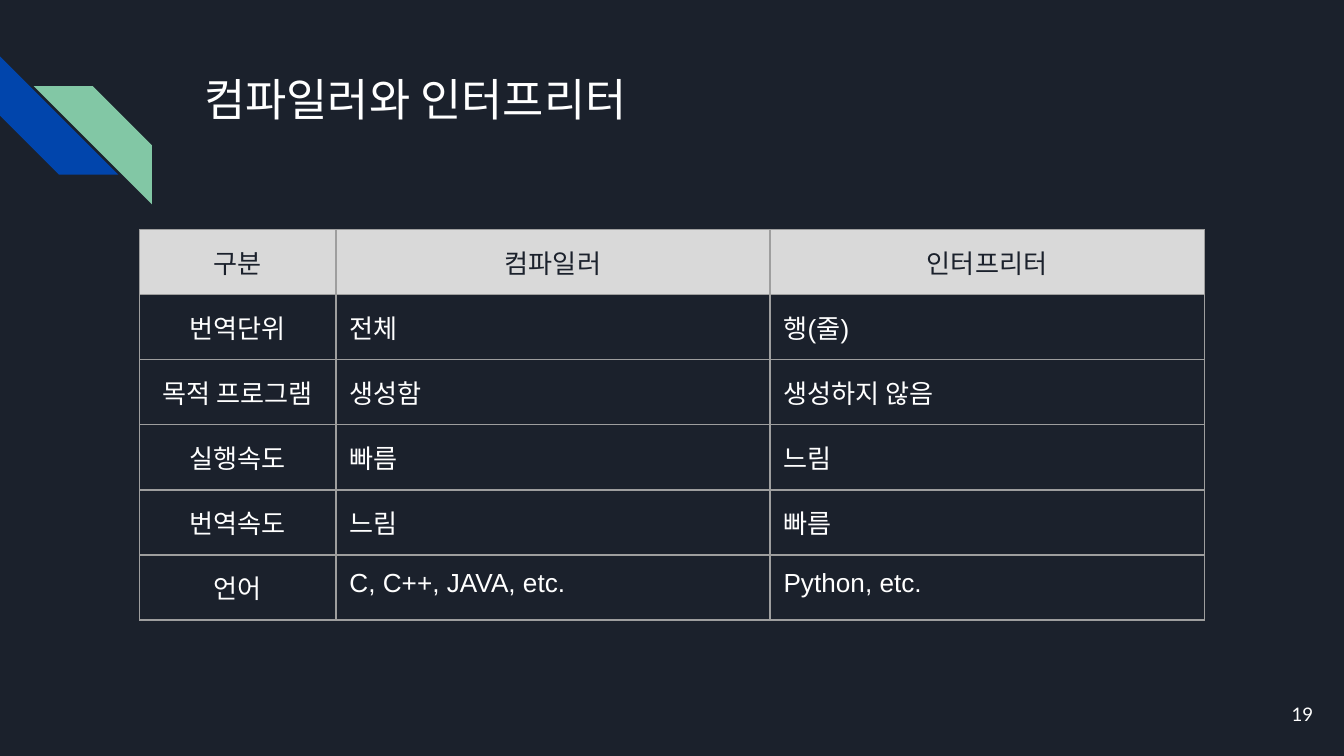
"""Build a slide that compares compilers and interpreters in a table."""
from dataclasses import dataclass

from lxml import etree
from pptx import Presentation
from pptx import util as u
from pptx.dml import color
from pptx.enum import shapes, text
from pptx.oxml import ns


@dataclass(frozen=True)
class Theme:
    """Colours, fonts and type sizes of the slide."""
    background: str = "1B212C"
    blue: str = "0145AC"
    green: str = "82C7A5"
    header: str = "D9D9D9"
    border: str = "9E9E9E"
    light: str = "FFFFFF"
    title_font: str = "Montserrat"
    body_font: str = "Arial"
    number_font: str = "Lato"
    title_size: int = 24
    body_size: int = 14
    number_size: int = 10
    border_width: float = 0.75


THEME = Theme()
INSET = u.Inches(0.1)
SLIDE_WIDTH = u.Inches(10)
ROWS = [
    ("구분", "컴파일러", "인터프리터"),
    ("번역단위", "전체", "행(줄)"),
    ("목적 프로그램", "생성함", "생성하지 않음"),
    ("실행속도", "빠름", "느림"),
    ("번역속도", "느림", "빠름"),
    ("언어", "C, C++, JAVA, etc.", "Python, etc."),
]


def set_values(target, values):
    """Set each named attribute on the target."""
    for name, value in values.items():
        setattr(target, name, value)


def set_box(shape, left, top, width, height):
    """Place a shape, with lengths in inches."""
    names = ("left", "top", "width", "height")
    set_values(shape, dict(zip(names, map(u.Inches, (left, top, width, height)))))


def paint(fill, rgb):
    """Give a fill one solid colour."""
    fill.solid()
    fill.fore_color.rgb = color.RGBColor.from_string(rgb)


def set_insets(target):
    """Give a text frame or cell equal margins."""
    sides = ("left", "right", "top", "bottom")
    set_values(target, {f"margin_{side}": INSET for side in sides})


def write(frame, words, font, size, rgb, align):
    """Write one formatted paragraph into a text frame."""
    paragraph = frame.paragraphs[0]
    paragraph.alignment = align
    run = paragraph.add_run()
    run.text = words
    set_values(run.font, {"name": font, "size": u.Pt(size), "bold": False})
    run.font.color.rgb = color.RGBColor.from_string(rgb)


def format_frame(frame, anchor):
    """Set the layout of a free text frame."""
    set_insets(frame)
    set_values(frame, {"word_wrap": True, "vertical_anchor": anchor,
                       "auto_size": text.MSO_AUTO_SIZE.NONE})


def add_stripe(slide, left, top, rotation, rgb):
    """Add one diagonal stripe."""
    side = u.Inches(0.88)
    stripe = slide.shapes.add_shape(shapes.MSO_SHAPE.DIAGONAL_STRIPE,
                                    u.Inches(left), u.Inches(top), side, side)
    stripe.rotation = rotation
    stripe.shadow.inherit = False
    paint(stripe.fill, rgb)
    stripe.line.fill.background()


def add_title(slide, words):
    """Fill and place the title placeholder."""
    title = slide.shapes.title
    set_box(title, 1.42, 0.43, 7.7, 1)
    format_frame(title.text_frame, text.MSO_ANCHOR.TOP)
    write(title.text_frame, words, THEME.title_font, THEME.title_size,
          THEME.light, text.PP_ALIGN.LEFT)


def add_number(slide, words):
    """Add the page number."""
    box = slide.shapes.add_textbox(*map(u.Inches, (9.27, 5.1, 0.6, 0.43)))
    format_frame(box.text_frame, text.MSO_ANCHOR.MIDDLE)
    write(box.text_frame, words, THEME.number_font, THEME.number_size,
          THEME.light, text.PP_ALIGN.RIGHT)


def add_borders(cell):
    """Draw the four borders of a cell."""
    properties = cell._tc.get_or_add_tcPr()
    for index, side in enumerate(("lnL", "lnR", "lnT", "lnB")):
        line = etree.Element(ns.qn(f"a:{side}"), w=str(u.Pt(THEME.border_width)))
        fill = etree.SubElement(line, ns.qn("a:solidFill"))
        etree.SubElement(fill, ns.qn("a:srgbClr"), val=THEME.border)
        properties.insert(index, line)


def format_cell(cell, words, is_header, is_centred):
    """Fill, frame and write one table cell."""
    set_insets(cell)
    if is_header:
        paint(cell.fill, THEME.header)
    else:
        cell.fill.background()
    add_borders(cell)
    write(cell.text_frame, words, THEME.body_font, THEME.body_size,
          THEME.background if is_header else THEME.light,
          text.PP_ALIGN.CENTER if is_centred else text.PP_ALIGN.LEFT)


def add_comparison(slide, rows, widths, row_height):
    """Add the comparison table."""
    frame = slide.shapes.add_table(
        len(rows), len(widths), u.Inches(1.04), u.Inches(1.71),
        u.Inches(sum(widths)), u.Inches(row_height * len(rows)))
    table = frame.table
    set_values(table, {"first_row": False, "horz_banding": False})
    for column, width in zip(table.columns, widths):
        column.width = u.Inches(width)
    for row_index, row in enumerate(rows):
        table.rows[row_index].height = u.Inches(row_height)
        for column_index, words in enumerate(row):
            is_header = row_index == 0
            format_cell(table.cell(row_index, column_index), words,
                        is_header, is_header or column_index == 0)


def main():
    """Build and save the presentation."""
    presentation = Presentation()
    set_values(presentation, {"slide_width": SLIDE_WIDTH,
                              "slide_height": SLIDE_WIDTH * 9 // 16})
    slide = presentation.slides.add_slide(presentation.slide_layouts[5])
    paint(slide.background.fill, THEME.background)
    add_stripe(slide, 0, 0.42, 270, THEME.blue)
    add_stripe(slide, 0.25, 0.64, 90, THEME.green)
    add_title(slide, "컴파일러와 인터프리터")
    add_number(slide, "19")
    add_comparison(slide, ROWS, (1.46, 3.23, 3.23), 0.42)
    presentation.save("out.pptx")


if __name__ == "__main__":
    main()
